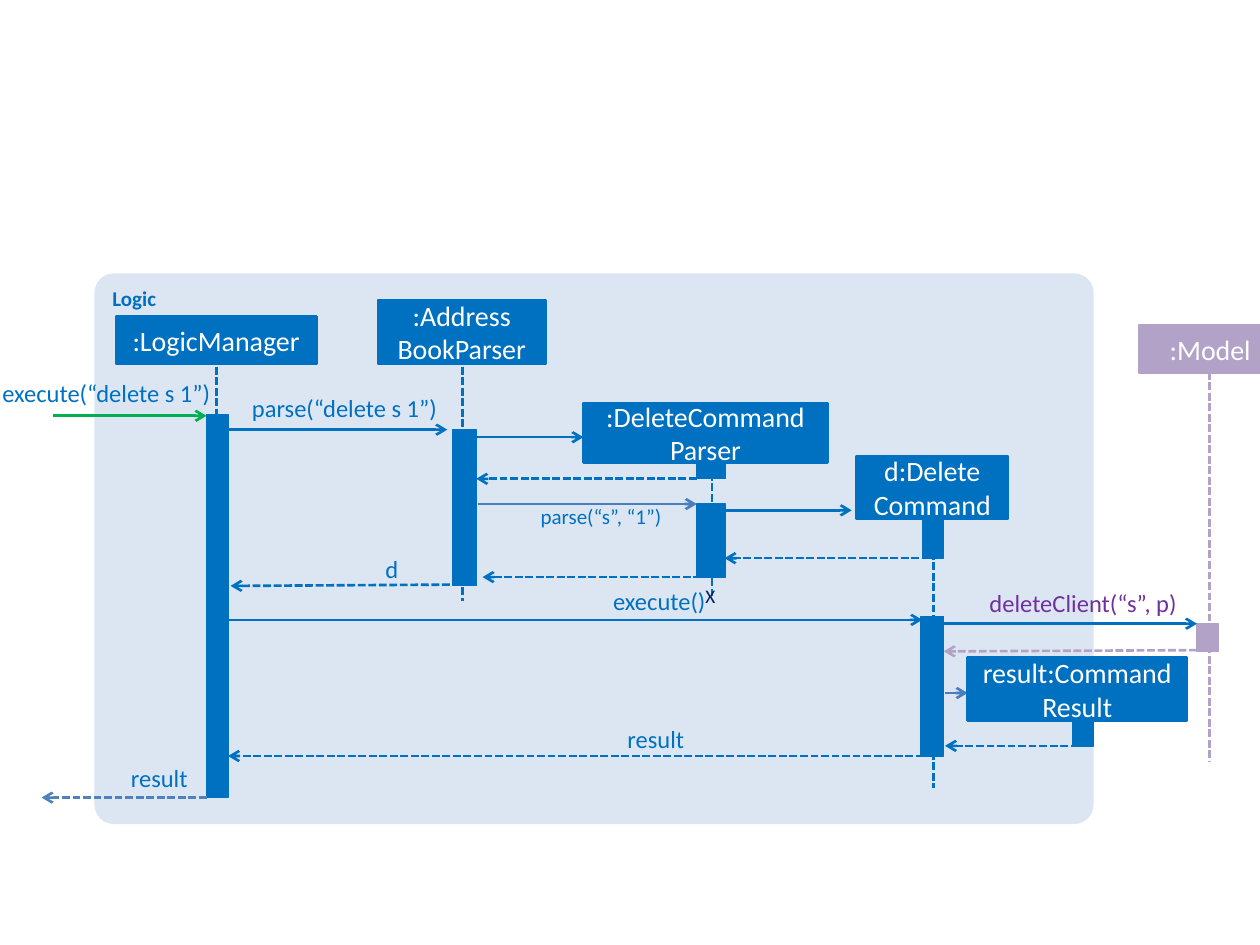
"""Sequence diagram of the delete command inside the Logic component."""
from lxml import etree
from pptx import Presentation
from pptx.dml.color import RGBColor
from pptx.enum import dml, shapes, text
from pptx.oxml import ns
from pptx.util import Inches, Pt

COLORS = {
    "panel": "DCE6F2", "logic": "0070C0", "model": "B3A2C7", "call": "00B050",
    "soft": "4F81BD", "inner": "4B7EBC", "client": "7030A0", "end": "002060",
    "white": "FFFFFF",
}


class Diagram:
    font = "Calibri"
    line_width = Pt(1.5)

    def __init__(self, slide):
        self.slide = slide

    def color(self, name):
        return RGBColor.from_string(COLORS[name])

    def fill_text(self, frame, words, size, color, align, bold=False):
        frame.text = words
        for paragraph in frame.paragraphs:
            paragraph.alignment = align
            paragraph.font.name = self.font
            paragraph.font.size = Pt(size)
            paragraph.font.bold = bold
            paragraph.font.color.rgb = self.color(color)

    def block(self, place, fill, width=None, kind=shapes.MSO_SHAPE.RECTANGLE):
        block = self.slide.shapes.add_shape(kind, *map(Inches, place))
        block.shadow.inherit = False
        block.fill.solid()
        block.fill.fore_color.rgb = self.color(fill)
        if width:
            block.line.color.rgb = self.color(fill)
            block.line.width = width
        else:
            block.line.fill.background()
        return block

    def panel(self, title, place):
        panel = self.block(place, "panel", kind=shapes.MSO_SHAPE.ROUNDED_RECTANGLE)
        panel.adjustments[0] = 0.035
        panel.text_frame.vertical_anchor = text.MSO_ANCHOR.TOP
        self.fill_text(panel.text_frame, title, 12, "logic", text.PP_ALIGN.LEFT, True)

    def participant(self, name, place, color="logic"):
        frame = self.block(place, color, self.line_width).text_frame
        frame.word_wrap = True
        frame.vertical_anchor = text.MSO_ANCHOR.MIDDLE
        self.fill_text(frame, name, 16, "white", text.PP_ALIGN.CENTER)

    def activation(self, place, color="logic"):
        self.block(place, color, Pt(0.75))

    def connector(self, start, end, color, dashed):
        connector = self.slide.shapes.add_connector(
            shapes.MSO_CONNECTOR.STRAIGHT, *map(Inches, (*start, *end)))
        connector.line.color.rgb = self.color(color)
        connector.line.width = self.line_width
        if dashed:
            connector.line.dash_style = dml.MSO_LINE.SQUARE_DOT
        etree.SubElement(connector._element.spPr, ns.qn("a:effectLst"))
        return connector

    def lifeline(self, x, top, bottom, color="logic"):
        self.connector((x, top), (x, bottom), color, True)

    def message(self, start, end, color="logic", dashed=False):
        arrow = self.connector(start, end, color, dashed)
        outline = arrow._element.spPr.find(ns.qn("a:ln"))
        etree.SubElement(outline, ns.qn("a:tailEnd"), type="arrow")

    def reply(self, start, end, color="logic"):
        self.message(start, end, color, dashed=True)

    def label(self, words, place, size=14, color="logic"):
        frame = self.slide.shapes.add_textbox(*map(Inches, place)).text_frame
        frame.word_wrap = True
        frame.margin_left = frame.margin_right = 0
        frame.margin_top = frame.margin_bottom = 0
        self.fill_text(frame, words, size, color, text.PP_ALIGN.RIGHT)

    def end_mark(self, place):
        frame = self.slide.shapes.add_textbox(*map(Inches, place)).text_frame
        frame.word_wrap = False
        self.fill_text(frame, "X", 11, "end", text.PP_ALIGN.LEFT)


def main():
    deck = Presentation()
    deck.slide_width, deck.slide_height = Inches(10), Inches(7.5)
    diagram = Diagram(deck.slides.add_slide(deck.slide_layouts[6]))

    diagram.panel("Logic", (0.75, 2.17, 7.93, 4.37))

    for name, place in (
        (":LogicManager", (0.92, 2.51, 1.59, 0.38)),
        (":Address\nBookParser", (3, 2.38, 1.33, 0.51)),
        (":DeleteCommand\nParser", (4.63, 3.2, 1.94, 0.47)),
        ("d:Delete\vCommand", (6.8, 3.62, 1.2, 0.5)),
    ):
        diagram.participant(name, place)
    diagram.participant(":Model", (9.04, 2.58, 1.13, 0.38), "model")

    for x, top, bottom in (
        (1.72, 2.91, 5.75), (3.67, 2.91, 4.77), (5.65, 3.67, 4.75), (7.41, 4.13, 6.25),
    ):
        diagram.lifeline(x, top, bottom)
    diagram.lifeline(9.6, 2.95, 6.05, "model")

    for place in (
        (1.64, 3.29, 0.17, 3.04),
        (3.59, 3.41, 0.19, 1.24),
        (5.53, 3.67, 0.23, 0.13),
        (5.53, 4, 0.23, 0.58),
        (7.32, 4.13, 0.17, 0.3),
        (7.31, 4.89, 0.18, 1.11),
    ):
        diagram.activation(place)
    diagram.activation((9.5, 4.95, 0.17, 0.22), "model")

    diagram.message((0.42, 3.3), (1.64, 3.3), "call")
    diagram.message((3.79, 4), (5.53, 4), "inner")
    diagram.message((7.5, 5.5), (7.68, 5.5), "inner")
    for start, end in (
        ((1.81, 3.41), (3.55, 3.41)),
        ((3.73, 3.47), (4.63, 3.47)),
        ((5.75, 4.05), (6.76, 4.05)),
        ((1.81, 4.92), (7.32, 4.92)),
        ((7.49, 4.95), (9.5, 4.95)),
    ):
        diagram.message(start, end)

    diagram.participant("result:Command Result", (7.68, 5.22, 1.74, 0.5))
    diagram.activation((8.51, 5.73, 0.17, 0.19))

    diagram.reply((9.5, 5.16), (7.49, 5.17), "model")
    diagram.reply((1.64, 6.33), (0.33, 6.33), "soft")
    for start, end in (
        ((5.53, 3.8), (3.78, 3.8)),
        ((7.38, 4.43), (5.75, 4.43)),
        ((5.65, 4.58), (3.83, 4.58)),
        ((3.57, 4.64), (1.83, 4.65)),
        ((8.56, 5.92), (7.5, 5.92)),
        ((7.33, 6), (1.81, 6)),
    ):
        diagram.reply(start, end)

    for words, place in (
        ("execute(“delete s 1”)", (0, 3, 1.67, 0.24)),
        ("parse(“delete s 1”)", (1.91, 3.12, 1.56, 0.24)),
        ("d", (2.92, 4.4, 0.24, 0.24)),
        ("execute()", (4.66, 4.65, 0.94, 0.24)),
        ("result", (4.75, 5.75, 0.68, 0.24)),
        ("result", (0.66, 6.06, 0.83, 0.24)),
    ):
        diagram.label(words, place)
    diagram.label("parse(“s”, “1”)", (4.11, 4, 1.14, 0.2), size=12)
    diagram.label("deleteClient(“s”, p)", (7.78, 4.67, 1.56, 0.24), color="client")
    diagram.end_mark((5.5, 4.59, 0.28, 0.29))

    deck.save("out.pptx")


if __name__ == "__main__":
    main()
